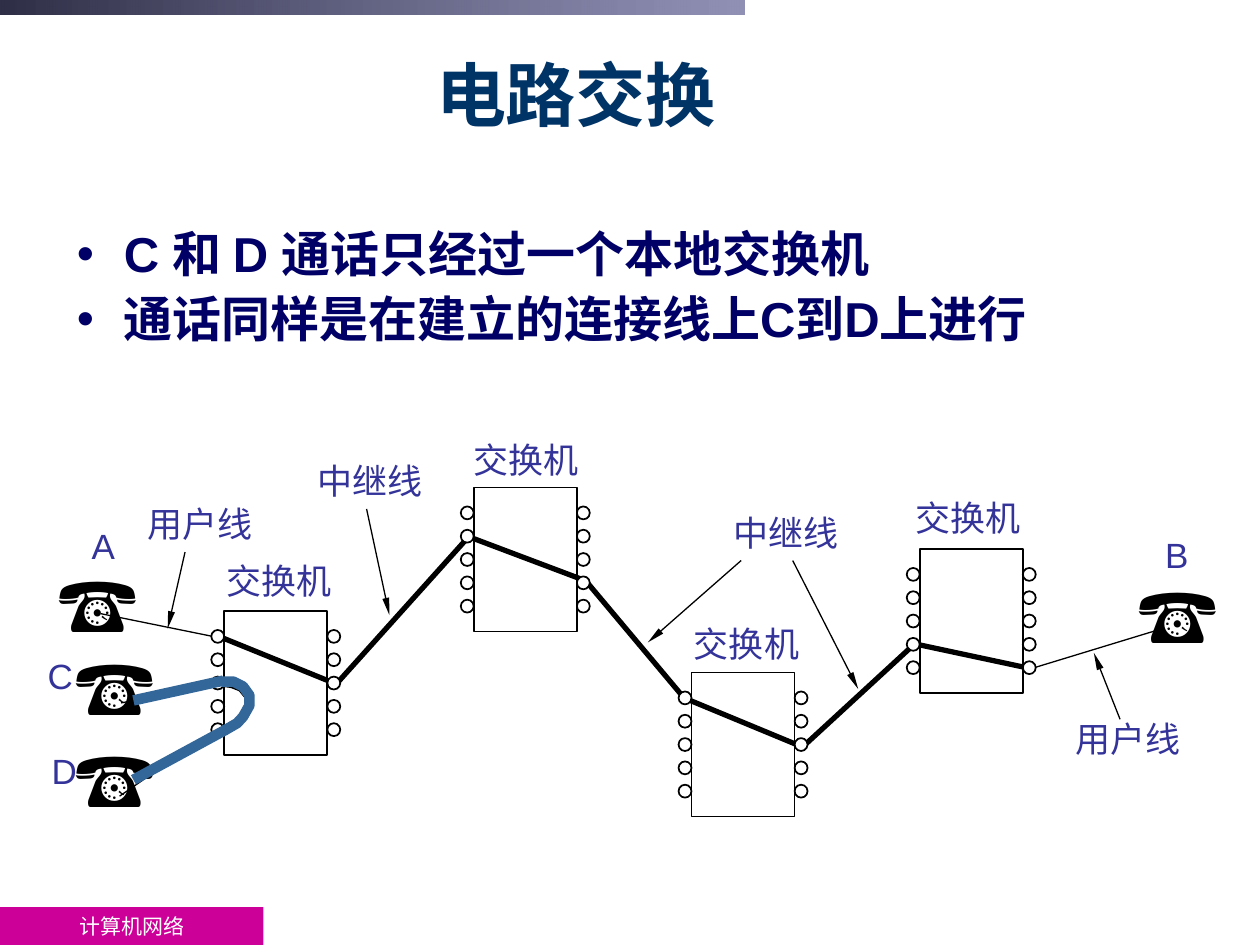
"""Build a slide that explains circuit switching with a telephone network."""
from lxml.etree import SubElement
from pptx import Presentation
from pptx.dml.color import RGBColor
from pptx.enum.shapes import MSO_CONNECTOR, MSO_SHAPE
from pptx.enum.text import MSO_ANCHOR, PP_ALIGN
from pptx.oxml.ns import qn
from pptx.util import Cm, Pt

BLACK = RGBColor(0x00, 0x00, 0x00)
WHITE = RGBColor(0xFF, 0xFF, 0xFF)
MAGENTA = RGBColor(0xCC, 0x00, 0x99)
DARK_SLATE = RGBColor(0x2F, 0x2F, 0x47)
SLATE = RGBColor(0x66, 0x66, 0x99)
TITLE_BLUE = RGBColor(0x00, 0x33, 0x66)
BODY_BLUE = RGBColor(0x00, 0x00, 0x66)
LABEL_BLUE = RGBColor(0x33, 0x33, 0x99)
CALL_BLUE = RGBColor(0x33, 0x66, 0x99)

SWITCH_WIDTH, SWITCH_HEIGHT = 2.08, 2.9
PORT_SIZE, PORT_TOP, PORT_STEP, PORT_COUNT = 0.26, 0.38, 0.47, 5

SWITCHES = [(4.52, 12.32), (9.55, 9.83), (13.94, 13.56), (18.54, 11.07)]
PHONES = [(0.94, 11.07), (22.71, 11.3), (1.27, 12.75), (1.27, 14.61)]
NAMES = [
    ("交换机", 4.32, 11.15), ("交换机", 9.3, 8.71),
    ("交换机", 13.74, 12.42), ("交换机", 18.21, 9.88),
    ("用户线", 2.72, 10.01), ("用户线", 21.44, 14.33),
    ("中继线", 14.53, 10.19), ("中继线", 6.15, 9.14),
]
LETTERS = [("A", 1.6, 10.44), ("B", 23.24, 10.64),
           ("C", 0.71, 13.06), ("D", 0.79, 14.99)]
USER_LINES = [
    ((2.41, 16.05), (4.39, 14.68)), ((2.44, 14.17), (4.42, 13.79)),
    ((20.75, 13.49), (23.34, 12.7)), ((2.03, 12.37), (4.39, 12.85)),
]
POINTERS = [
    ((3.73, 11.13), (3.38, 12.67)), ((22.58, 14.5), (22.05, 13.16)),
    ((14.94, 11.3), (13.06, 12.95)), ((15.98, 11.3), (17.3, 13.89)),
    ((7.39, 10.26), (7.85, 12.4)),
]
TRUNK = [(4.34, 12.8), (6.78, 13.79), (9.45, 10.82), (11.81, 11.71),
         (13.79, 14.07), (16.18, 15.06), (18.44, 12.98), (20.83, 13.49)]
LOCAL_LOOP = [(4.47, 13.79), (4.67, 13.82), (4.85, 13.89), (4.98, 14.05),
              (5, 14.27), (4.88, 14.5), (4.65, 14.63), (4.42, 14.68)]
CALL_LOOP = [(4.47, 13.74), (4.7, 13.74), (4.9, 13.84), (5.03, 14.02),
             (5.03, 14.22), (4.9, 14.45), (4.78, 14.58), (4.52, 14.73)]
CALL_LINES = [((2.69, 14.12), (4.5, 13.72)), ((2.69, 15.72), (4.55, 14.71))]


def style_font(paragraph, size, color, name="Arial", bold=False):
    """Set the font of a whole paragraph."""
    font = paragraph.font
    font.size, font.name, font.bold = Pt(size), name, bold
    font.color.rgb = color


def add_preset(page, kind, left, top, width, height, fill=None, outline=None):
    """Add a preset shape with an optional fill and outline."""
    shape = page.shapes.add_shape(kind, Cm(left), Cm(top), Cm(width), Cm(height))
    shape.shadow.inherit = False
    if fill is None:
        shape.fill.background()
    else:
        shape.fill.solid()
        shape.fill.fore_color.rgb = fill
    if outline is None:
        shape.line.fill.background()
    else:
        shape.line.color.rgb = outline
        shape.line.width = Pt(1)
    return shape


def add_text(page, text, left, top, width, height, wrap=False):
    """Add a text box and return its text frame."""
    box = page.shapes.add_textbox(Cm(left), Cm(top), Cm(width), Cm(height))
    frame = box.text_frame
    frame.word_wrap = wrap
    frame.text = text
    return frame


def add_label(page, text, left, top, width, height, size, color, name="Arial"):
    """Add a one-line label of the diagram."""
    frame = add_text(page, text, left, top, width, height)
    style_font(frame.paragraphs[0], size, color, name)


def add_line(page, start, end, color=BLACK, width=0.75, arrow=False):
    """Add a straight line, with an arrowhead at its end if wanted."""
    line = page.shapes.add_connector(
        MSO_CONNECTOR.STRAIGHT, *(Cm(value) for value in start + end))
    line.line.color.rgb = color
    line.line.width = Pt(width)
    if arrow:
        SubElement(line.line._get_or_add_ln(), qn("a:tailEnd"),
                   type="triangle", w="sm", len="lg")
    SubElement(line._element.spPr, qn("a:effectLst"))


def add_route(page, points, color, width):
    """Add an open, unfilled outline through the points."""
    corners = [(Cm(x), Cm(y)) for x, y in points]
    builder = page.shapes.build_freeform(*corners[0])
    builder.add_line_segments(corners[1:], close=False)
    route = builder.convert_to_shape()
    route.shadow.inherit = False
    route.fill.background()
    route.line.color.rgb = color
    route.line.width = Pt(width)


def add_switch(page, left, top):
    """Add a switch with a column of ports on each side."""
    add_preset(page, MSO_SHAPE.RECTANGLE, left, top,
               SWITCH_WIDTH, SWITCH_HEIGHT, outline=BLACK)
    for port_left in (left - PORT_SIZE, left + SWITCH_WIDTH):
        for row in range(PORT_COUNT):
            add_preset(page, MSO_SHAPE.OVAL, port_left,
                       top + PORT_TOP + row * PORT_STEP,
                       PORT_SIZE, PORT_SIZE, WHITE, BLACK)


def add_bands(page):
    """Add the footer band and the fading band at the top."""
    footer = add_preset(page, MSO_SHAPE.RECTANGLE, 0, 18.29, 5.31, 0.76, MAGENTA)
    frame = footer.text_frame
    frame.text = "计算机网络"
    frame.vertical_anchor = MSO_ANCHOR.MIDDLE
    frame.paragraphs[0].alignment = PP_ALIGN.CENTER
    style_font(frame.paragraphs[0], 12, WHITE, "Times New Roman")

    band = add_preset(page, MSO_SHAPE.RECTANGLE, 0, 0, 15.01, 0.3)
    band.fill.gradient()
    band.fill.gradient_angle = 0
    for stop, color, place in zip(band.fill.gradient_stops, (DARK_SLATE, SLATE), (0, 1)):
        stop.color.rgb = color
        stop.position = place
    last_color = band._element.spPr.findall(".//" + qn("a:srgbClr"))[-1]
    SubElement(last_color, qn("a:alpha"), val="72000")


def add_title(page, text):
    """Add the centred title."""
    frame = add_text(page, text, 0.51, 0.71, 22.2, 2.36, wrap=True)
    frame.vertical_anchor = MSO_ANCHOR.MIDDLE
    frame.paragraphs[0].alignment = PP_ALIGN.CENTER
    style_font(frame.paragraphs[0], 40, TITLE_BLUE, bold=True)


def add_bullets(page, lines):
    """Add the bulleted statements."""
    frame = add_text(page, "\n".join(lines), 1.3, 4.52, 22.86, 2.79, wrap=True)
    for index, paragraph in enumerate(frame.paragraphs):
        properties = paragraph._p.get_or_add_pPr()
        properties.set("marL", str(Cm(0.95)))
        properties.set("indent", str(-Cm(0.95)))
        bullet_color = SubElement(properties, qn("a:buClr"))
        SubElement(bullet_color, qn("a:srgbClr"), val=str(BODY_BLUE))
        SubElement(properties, qn("a:buFont"), typeface="Arial")
        SubElement(properties, qn("a:buChar"), char="•")
        paragraph.line_spacing = 0.9
        if index:
            paragraph.space_before = Pt(7)
        style_font(paragraph, 28, BODY_BLUE, bold=True)


def add_network(page):
    """Add the telephone network from back to front."""
    add_route(page, LOCAL_LOOP, BLACK, 3)
    for start, end in USER_LINES:
        add_line(page, start, end)
    add_route(page, TRUNK, BLACK, 3)
    for left, top in SWITCHES:
        add_switch(page, left, top)
    for left, top in PHONES:
        add_label(page, "☎", left, top, 2.13, 2.13, 44, BLACK)
    for start, end in POINTERS:
        add_line(page, start, end, arrow=True)
    for text, left, top in NAMES:
        add_label(page, text, left, top, 2.62, 1.12, 20, LABEL_BLUE, "Times New Roman")
    for text, left, top in LETTERS:
        add_label(page, text, left, top, 1, 1.12, 20, LABEL_BLUE)
    add_route(page, CALL_LOOP, CALL_BLUE, 6)
    for start, end in CALL_LINES:
        add_line(page, start, end, CALL_BLUE, 6)


def main():
    """Build and save the deck."""
    deck = Presentation()
    deck.slide_width, deck.slide_height = Cm(25.4), Cm(19.05)
    page = deck.slides.add_slide(deck.slide_layouts[6])
    add_bands(page)
    add_title(page, "电路交换")
    add_bullets(page, ["C 和 D 通话只经过一个本地交换机",
                       "通话同样是在建立的连接线上C到D上进行"])
    add_network(page)
    deck.save("out.pptx")


if __name__ == "__main__":
    main()
